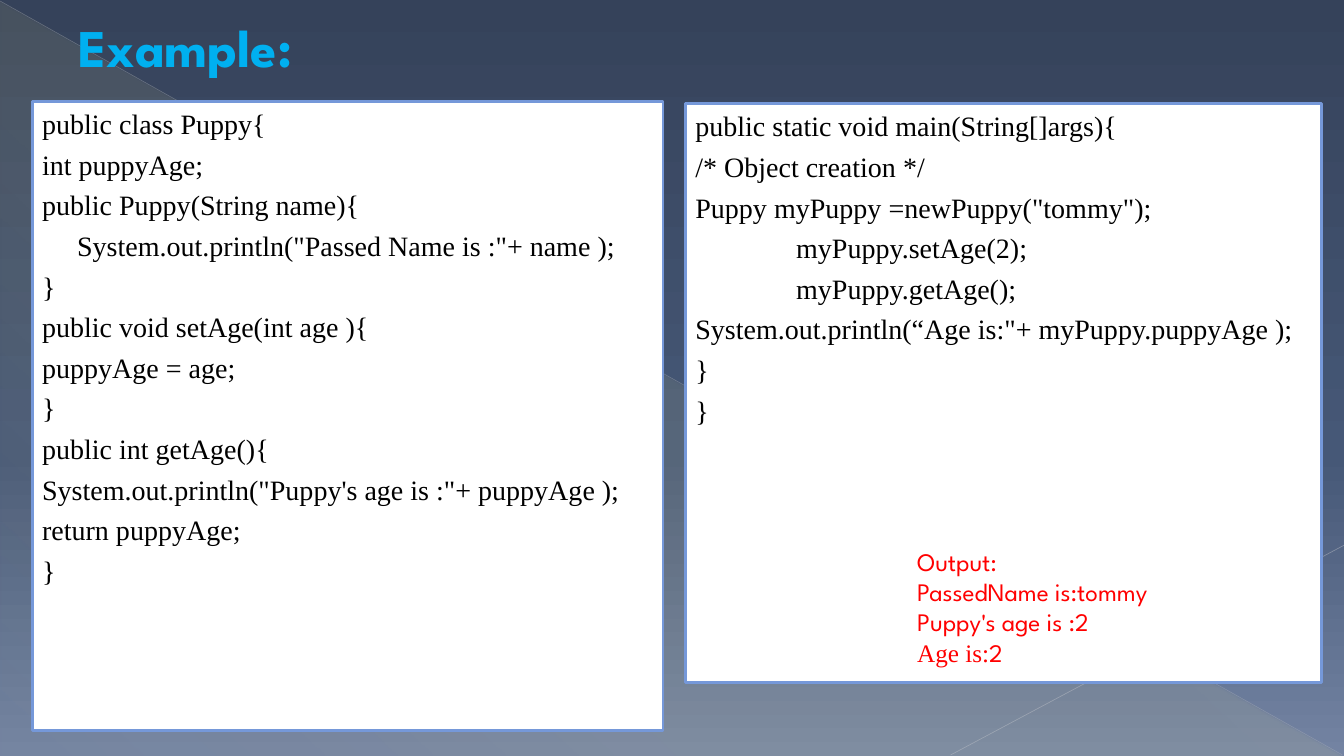
import pptx
import pptx.dml.color
import pptx.enum.shapes
import pptx.enum.text
import pptx.oxml
import pptx.oxml.ns
import pptx.util

Pt = pptx.util.Pt
SHAPES = pptx.enum.shapes.MSO_SHAPE
ANCHORS = pptx.enum.text.MSO_ANCHOR
NAMESPACE = pptx.oxml.ns.nsdecls("a")
HEADING_FONT = "League Spartan"
CODE_FONT = "Times New Roman"
CODE_SIZE = 20
PUPPY_CLASS = [
    ("public class Puppy{", 0),
    ("int puppyAge;", 0),
    ("public Puppy(String name){", 0),
    ('System.out.println("Passed Name is :"+ name );', 25),
    ("}", 0),
    ("public void setAge(int age ){", 0),
    ("puppyAge = age;", 0),
    ("}", 0),
    ("public int getAge(){", 0),
    ('System.out.println("Puppy\'s age is :"+ puppyAge );', 0),
    ("return puppyAge;", 0),
    ("}", 0),
]
MAIN_METHOD = [
    ("public static void main(String[]args){", 0),
    ("/* Object creation */", 0),
    ('Puppy myPuppy =newPuppy("tommy");', 0),
    ("myPuppy.setAge(2);", 72),
    ("myPuppy.getAge();", 72),
    ('System.out.println(“Age is:"+ myPuppy.puppyAge );', 0),
    ("}", 0),
    ("}", 0),
]
OUTPUT = [
    [("Output:", HEADING_FONT)],
    [("PassedName is:tommy", HEADING_FONT)],
    [("Puppy's age is :2", HEADING_FONT)],
    [("Age is:", CODE_FONT), ("2", HEADING_FONT)],
]


def color(value):
    return pptx.dml.color.RGBColor.from_string(value)


def set_gradient(fill, owner, stops, angle):
    fill.gradient()
    gradient = owner.element.xpath(".//a:gradFill")[0]
    stops_xml = "".join(
        f'<a:gs pos="{position * 1000}"><a:srgbClr val="{value}">'
        f'<a:alpha val="{opacity * 1000}"/></a:srgbClr></a:gs>'
        for position, value, opacity in stops
    )
    replacement = pptx.oxml.parse_xml(
        f'<a:gradFill {NAMESPACE} rotWithShape="1"><a:gsLst>{stops_xml}</a:gsLst>'
        f'<a:lin ang="{angle * 60000}" scaled="0"/></a:gradFill>'
    )
    gradient.getparent().replace(gradient, replacement)


def add_backdrop_triangle(slide):
    triangle = slide.shapes.add_shape(
        SHAPES.RIGHT_TRIANGLE, Pt(0.7), Pt(1.4), Pt(958.3), Pt(538.6)
    )
    triangle.shadow.inherit = False
    triangle.line.fill.background()
    stops = [(0, "FFF39D", 10), (70, "FFF39D", 8), (100, "FFF39D", 1)]
    set_gradient(triangle.fill, triangle, stops, 133)


def add_faint_line(slide, start, end, value, width, opacity):
    line = slide.shapes.add_connector(
        pptx.enum.shapes.MSO_CONNECTOR.STRAIGHT, *map(Pt, start + end)
    )
    line.line.color.rgb = color(value)
    line.line.width = Pt(width)
    line.element.xpath(".//a:ln//a:srgbClr")[0].append(
        pptx.oxml.parse_xml(f'<a:alpha {NAMESPACE} val="{opacity * 1000}"/>')
    )
    line.element.spPr.append(pptx.oxml.parse_xml(f"<a:effectLst {NAMESPACE}/>"))


def add_run(paragraph, text, font_name, size, value):
    run = paragraph.add_run()
    run.text = text
    run.font.name = font_name
    run.font.size = Pt(size)
    run.font.color.rgb = color(value)
    return run


def next_paragraph(frame, index):
    paragraph = frame.add_paragraph() if index else frame.paragraphs[0]
    paragraph.alignment = pptx.enum.text.PP_ALIGN.LEFT
    return paragraph


def add_title(slide, text):
    box = slide.shapes.add_textbox(Pt(49), Pt(11.5), Pt(828), Pt(42.5))
    frame = box.text_frame
    frame.word_wrap = True
    frame.vertical_anchor = ANCHORS.MIDDLE
    run = add_run(next_paragraph(frame, 0), text, HEADING_FONT, 37.8, "00B0F0")
    run.font.bold = True
    run.font._element.insert(0, pptx.oxml.parse_xml(
        f'<a:ln {NAMESPACE} w="{Pt(0.5)}"><a:solidFill>'
        '<a:srgbClr val="B05D26"/></a:solidFill></a:ln>'
    ))


def add_code_panel(slide, bounds, lines):
    panel = slide.shapes.add_shape(SHAPES.RECTANGLE, *map(Pt, bounds))
    panel.shadow.inherit = False
    panel.fill.solid()
    panel.fill.fore_color.rgb = color("FFFFFF")
    panel.line.color.rgb = color("7598D9")
    panel.line.width = Pt(2)
    frame = panel.text_frame
    frame.word_wrap = True
    frame.vertical_anchor = ANCHORS.TOP
    for index, (text, indent) in enumerate(lines):
        paragraph = next_paragraph(frame, index)
        paragraph.space_before = Pt(CODE_SIZE * 0.25)
        paragraph._p.get_or_add_pPr().set("marL", str(Pt(indent)))
        add_run(paragraph, text, CODE_FONT, CODE_SIZE, "000000")


def add_output(slide, lines):
    box = slide.shapes.add_textbox(Pt(648), Pt(386.6), Pt(181.4), Pt(94.3))
    frame = box.text_frame
    frame.word_wrap = False
    frame.auto_size = pptx.enum.text.MSO_AUTO_SIZE.SHAPE_TO_FIT_TEXT
    for index, runs in enumerate(lines):
        paragraph = next_paragraph(frame, index)
        for text, font_name in runs:
            add_run(paragraph, text, font_name, 18, "FF0000")


def main():
    presentation = pptx.Presentation()
    presentation.slide_width = Pt(960)
    presentation.slide_height = Pt(540)
    slide = presentation.slides.add_slide(presentation.slide_layouts[6])
    stops = [(0, "35425A", 100), (60, "465877", 100), (100, "7383A2", 100)]
    set_gradient(slide.background.fill, slide, stops, 90)
    add_backdrop_triangle(slide)
    add_faint_line(slide, (0, 0.7), (959, 539.3), "BABDC4", 0.39, 35)
    add_faint_line(slide, (960, 389.5), (679, 539.3), "C1C4CA", 0.47, 45)
    add_title(slide, "Example:")
    add_code_panel(slide, (23, 72.7, 450.7, 449.3), PUPPY_CLASS)
    add_code_panel(slide, (489.6, 74.2, 454.3, 413.3), MAIN_METHOD)
    add_output(slide, OUTPUT)
    presentation.save("out.pptx")


if __name__ == "__main__":
    main()
